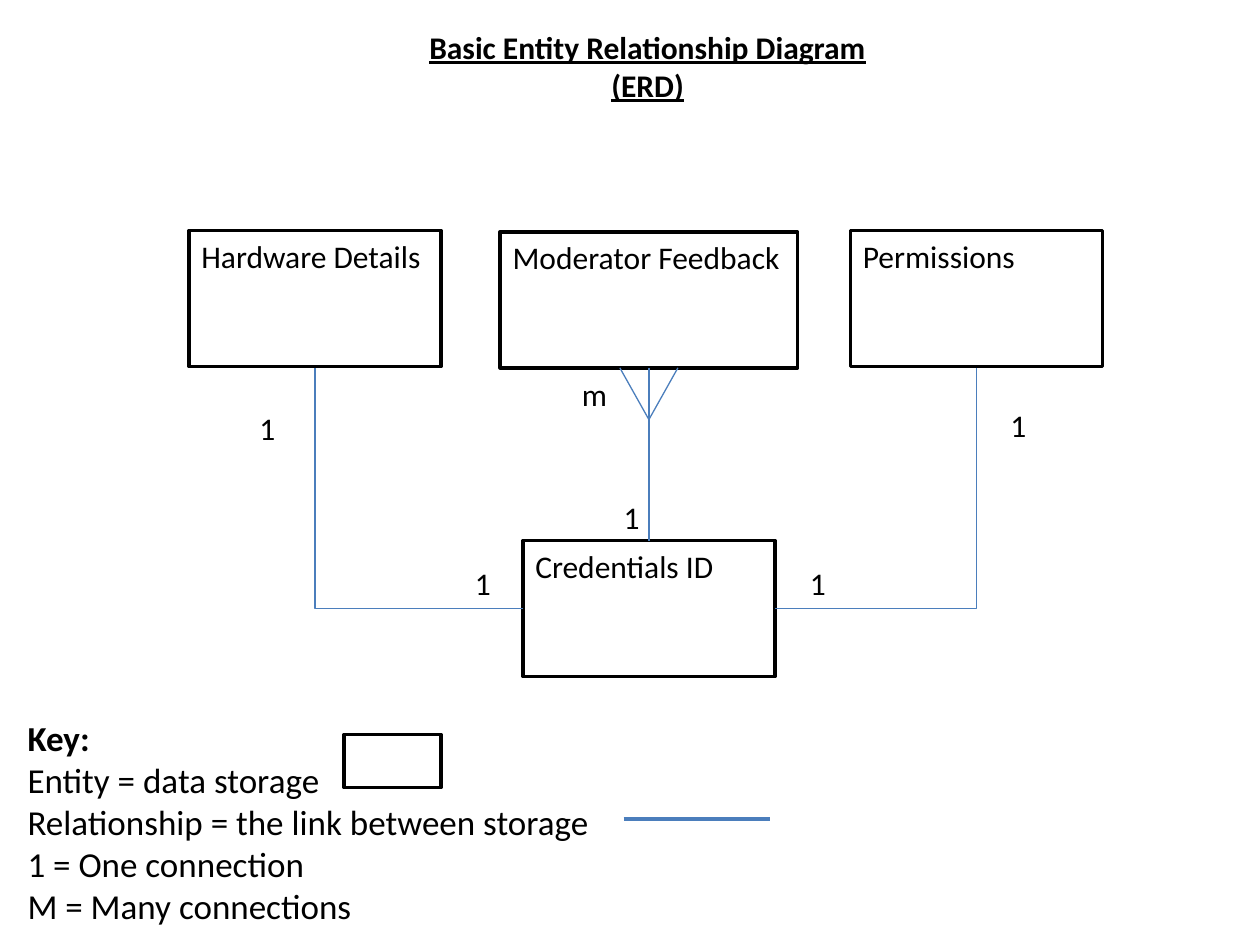
from lxml import etree
from pptx import Presentation
from pptx.dml.color import RGBColor
from pptx.enum.shapes import MSO_CONNECTOR, MSO_SHAPE
from pptx.enum.text import MSO_ANCHOR, MSO_AUTO_SIZE, PP_ALIGN
from pptx.oxml.ns import qn
from pptx.util import Inches, Pt

COLORS = {"text": "000000", "border": "000000", "link": "4B7EBC"}
BOTTOM, LEFT, RIGHT = 2, 1, 3

prs = Presentation()
prs.slide_width, prs.slide_height = Inches(10), Inches(7.5)
s = prs.slides.add_slide(prs.slide_layouts[5])


def write(sp, lines, size=18, align=PP_ALIGN.LEFT, wrap=True):
    tf = sp.text_frame
    tf.text = "\n".join(lines)
    tf.word_wrap = wrap
    tf.auto_size = MSO_AUTO_SIZE.NONE
    tf.vertical_anchor = MSO_ANCHOR.TOP
    for p in tf.paragraphs:
        p.alignment = align
        for r in p.runs:
            r.font.name = "Calibri"
            r.font.size = Pt(size)
            r.font.color.rgb = RGBColor.from_string(COLORS["text"])
    return tf


def link(kind, x1, y1, x2, y2, width=0.75):
    c = s.shapes.add_connector(kind, Inches(x1), Inches(y1), Inches(x2), Inches(y2))
    c.line.color.rgb = RGBColor.from_string(COLORS["link"])
    c.line.width = Pt(width)
    etree.SubElement(c._element.spPr, qn("a:effectLst"))
    return c


title = s.shapes.title
title.left, title.top, title.width, title.height = [Inches(v) for v in (3.02, 0.17, 4.24, 0.71)]
tf = write(title, ["Basic Entity Relationship Diagram (ERD)"], align=PP_ALIGN.CENTER)
font = tf.paragraphs[0].runs[0].font
font.bold = font.underline = True

entities = {}
for name, x, y, w, h in [
    ("Credentials ID", 4.15, 4.29, 2, 1.08),
    ("Hardware Details", 1.5, 1.83, 2, 1.08),
    ("Permissions", 6.75, 1.83, 2, 1.08),
    ("Moderator Feedback", 3.97, 1.84, 2.36, 1.08),
    ("", 2.73, 5.83, 0.77, 0.42),
]:
    sp = s.shapes.add_shape(MSO_SHAPE.RECTANGLE, Inches(x), Inches(y), Inches(w), Inches(h))
    sp.shadow.inherit = False
    sp.fill.background()
    sp.line.color.rgb = RGBColor.from_string(COLORS["border"])
    sp.line.width = Pt(2)
    if name:
        write(sp, [name])
        entities[name] = sp

credentials = entities["Credentials ID"]
for name, x1, x2, side, turn, flip in [
    ("Hardware Details", 2.5, 4.15, LEFT, 270, "1"),
    ("Permissions", 7.75, 6.15, RIGHT, 90, "0"),
]:
    y1, y2 = 2.92, 4.83
    c = link(MSO_CONNECTOR.ELBOW, x1, y1, x2, y2)
    c.begin_connect(entities[name], BOTTOM)
    c.end_connect(credentials, side)
    w, h = y2 - y1, abs(x2 - x1)
    c.left, c.top = Inches((x1 + x2 - w) / 2), Inches((y1 + y2 - h) / 2)
    c.width, c.height = Inches(w), Inches(h)
    xfrm = c._element.spPr.find(qn("a:xfrm"))
    xfrm.set("rot", str(turn * 60000))
    xfrm.set("flipH", flip)
    c._element.spPr.find(qn("a:prstGeom")).set("prst", "bentConnector2")

middle = link(MSO_CONNECTOR.STRAIGHT, 5.15, 4.29, 5.15, 2.92)
middle.begin_connect(credentials, 0)
middle.end_connect(entities["Moderator Feedback"], BOTTOM)
for x in (4.92, 5.38):
    link(MSO_CONNECTOR.STRAIGHT, 5.15, 3.33, x, 2.92)
link(MSO_CONNECTOR.STRAIGHT, 4.95, 6.5, 6.11, 6.5, 2.25)

for label, x, y, w in [
    ("1", 1.96, 3.2, 0.25),
    ("1", 3.67, 4.43, 0.25),
    ("1", 6.33, 4.43, 0.25),
    ("1", 7.92, 3.17, 0.25),
    ("m", 4.52, 2.93, 0.4),
    ("1", 4.85, 3.9, 0.25),
]:
    sp = s.shapes.add_textbox(Inches(x), Inches(y), Inches(w), Inches(0.4))
    write(sp, [label], wrap=label != "m")

key = s.shapes.add_textbox(Inches(0.12), Inches(5.64), Inches(4.79), Inches(1.78))
tf = write(key, [
    "Key:",
    "Entity = data storage",
    "Relationship = the link between storage",
    "1 = One connection",
    "M = Many connections",
], size=20)
tf.paragraphs[0].runs[0].font.bold = True

prs.save("out.pptx")
